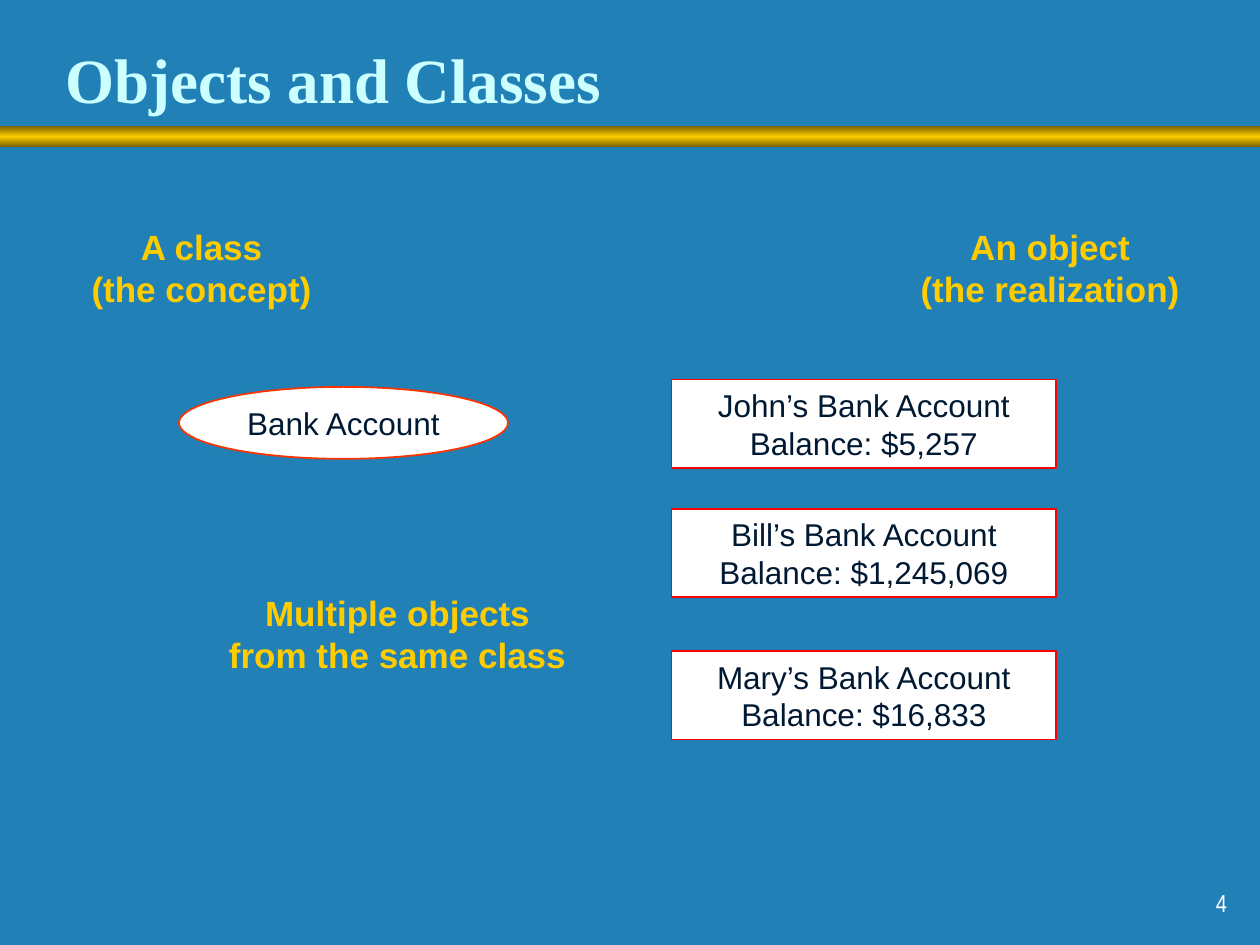
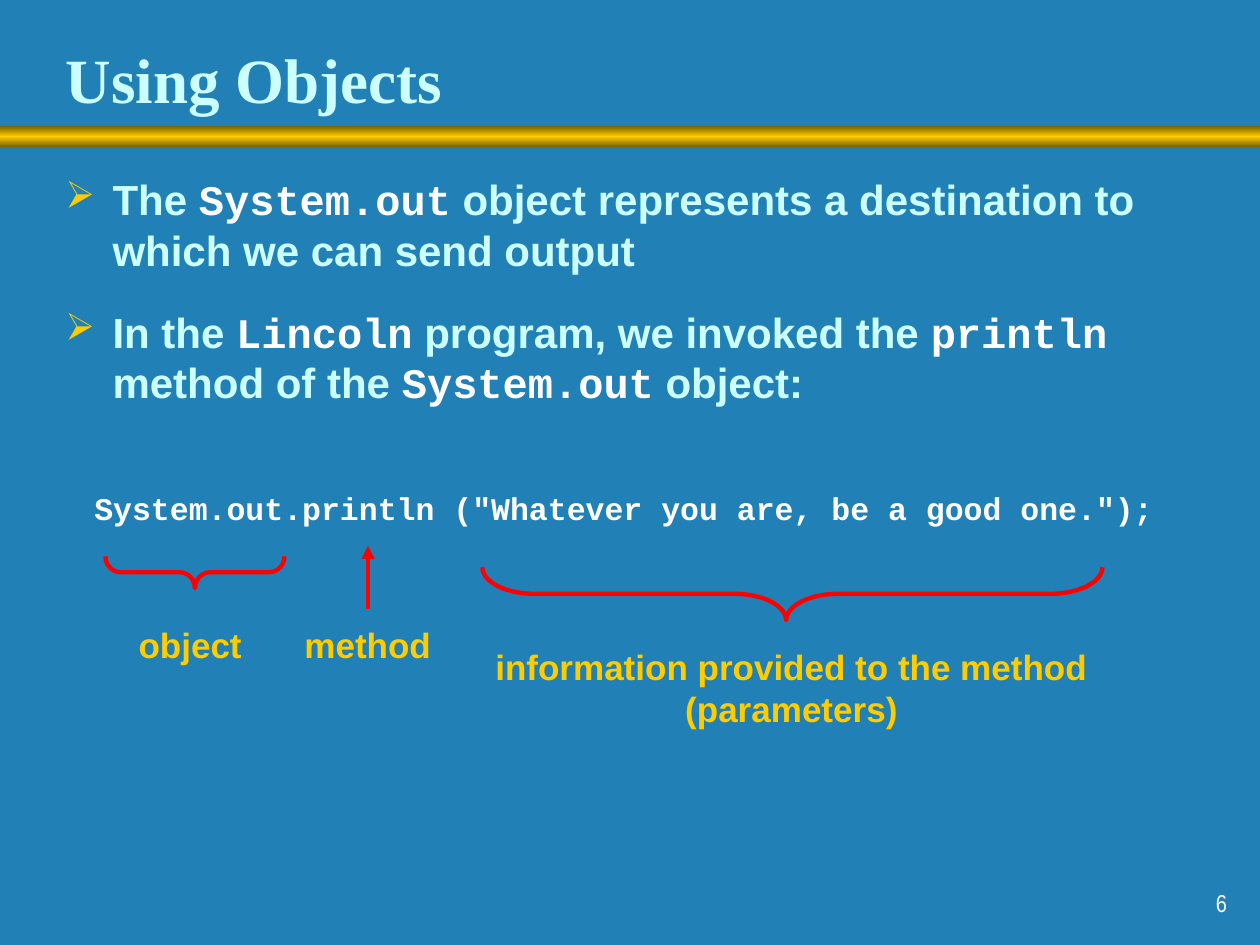
"""Build two slides on objects and classes."""
from copy import deepcopy
from dataclasses import dataclass

from lxml import etree
from pptx import Presentation
from pptx import util as u
from pptx.dml.color import RGBColor as Rgb
from pptx.enum import shapes, text
from pptx.oxml import ns

LEFT, MID, RIGHT = text.PP_ALIGN.LEFT, text.PP_ALIGN.CENTER, text.PP_ALIGN.RIGHT


def style(name, size, color, bold=True):
    """Return the font values and the colour of one kind of text."""
    return {"name": name, "size": u.Pt(size), "bold": bold}, color


@dataclass(frozen=True)
class Theme:
    """Hold the colours and type styles of the deck."""
    back: str = "2181B7"
    gold: str = "FFCC00"
    dark: str = "755E00"
    white: str = "FFFFFF"
    red: str = "FF0000"
    flame: str = "FF3300"
    title: tuple = style("Times New Roman", 36, "CCFFFF")
    body: tuple = style("Arial", 24, "CCFFFF")
    term: tuple = style("Courier New", 24, "FFFFFF")
    code: tuple = style("Courier New", 18, "FFFFFF")
    label: tuple = style("Arial", 20, "FFCC00")
    box: tuple = style("Arial", 18, "001932", False)
    page: tuple = style("Arial Narrow", 14, "FFFFFF", False)


T = Theme()


def apply(item, vals):
    """Set each named value on an item."""
    for name, val in vals.items():
        setattr(item, name, val)


def place(*nums):
    """Turn centimetre numbers into lengths."""
    return [u.Cm(n) for n in nums]


def node(parent, tag, **attrs):
    """Append a DrawingML element."""
    return etree.SubElement(parent, ns.qn(tag), **attrs)


def add_run(para, words, look):
    """Add a styled run to a paragraph."""
    run = para.add_run()
    run.text = words
    vals, color = look
    apply(run.font, vals)
    run.font.color.rgb = Rgb.from_string(color)


def fill_text(shape, lines, look, align=MID, anchor=text.MSO_ANCHOR.TOP, wrap=False):
    """Write styled lines into a shape, one paragraph each."""
    frame = shape.text_frame
    apply(frame, {"word_wrap": wrap, "vertical_anchor": anchor,
                  "auto_size": text.MSO_AUTO_SIZE.NONE})
    for i, line in enumerate(lines):
        para = frame.add_paragraph() if i else frame.paragraphs[0]
        para.alignment = align
        add_run(para, line, look)


def add_text(slide, at, lines, look, **opts):
    """Add a text box."""
    box = slide.shapes.add_textbox(*place(*at))
    fill_text(box, lines, look, **opts)
    return box


def add_plain(slide, kind, at):
    """Add a preset shape without a shadow."""
    shape = slide.shapes.add_shape(kind, *place(*at))
    shape.shadow.inherit = False
    return shape


def draw_line(line, color, width):
    """Set the colour and width of a line."""
    line.color.rgb = Rgb.from_string(color)
    line.width = u.Pt(width)


def add_box(slide, kind, at, lines, edge):
    """Add a white outlined shape with centred text."""
    box = add_plain(slide, kind, at)
    box.fill.solid()
    box.fill.fore_color.rgb = Rgb.from_string(T.white)
    draw_line(box.line, edge, 1)
    fill_text(box, lines, T.box, anchor=text.MSO_ANCHOR.MIDDLE, wrap=True)


def add_brace(slide, at, curve, point):
    """Add a red brace that points down."""
    brace = add_plain(slide, shapes.MSO_SHAPE.LEFT_BRACE, at)
    brace.rotation = 270
    brace.adjustments[0], brace.adjustments[1] = curve, point
    brace.fill.background()
    draw_line(brace.line, T.red, 2.5)


def add_arrow(slide, *ends):
    """Add a red arrow between two points."""
    arrow = slide.shapes.add_connector(shapes.MSO_CONNECTOR.STRAIGHT, *place(*ends))
    draw_line(arrow.line, T.red, 2.5)
    props = arrow.line._get_or_add_ln()
    node(props, "a:tailEnd", type="triangle")
    node(props.getparent(), "a:effectLst")


def add_band(slide):
    """Add the golden band below the title."""
    band = add_plain(slide, shapes.MSO_SHAPE.RECTANGLE, (0, 2.54, 25.4, 0.43))
    band.line.fill.background()
    band.fill.gradient()
    band.fill.gradient_angle = 90
    stops = band._element.spPr.find(".//" + ns.qn("a:gsLst"))
    stops.insert(1, deepcopy(stops[0]))
    for stop, pos, color in zip(band.fill.gradient_stops, (0, 0.5, 1),
                                (T.dark, T.gold, T.dark)):
        stop.position = pos
        stop.color.rgb = Rgb.from_string(color)


def add_slide(deck, title, page):
    """Add a slide with its title, band and page number."""
    slide = deck.slides.add_slide(deck.slide_layouts[5])
    slide.background.fill.solid()
    slide.background.fill.fore_color.rgb = Rgb.from_string(T.back)
    add_band(slide)
    head = slide.shapes.title
    apply(head, dict(zip(("left", "top", "width", "height"),
                         place(1.07, 0.56, 21.72, 1.9))))
    low = text.MSO_ANCHOR.BOTTOM
    fill_text(head, [title], T.title, align=LEFT, anchor=low, wrap=True)
    add_text(slide, (19.71, 17.35, 5.28, 1.27), [page], T.page,
             align=RIGHT, anchor=low, wrap=True)
    return slide


def add_points(slide, at, points):
    """Add bullets in which backticks mark the code terms."""
    frame = slide.shapes.add_textbox(*place(*at)).text_frame
    frame.word_wrap = True
    for i, point in enumerate(points):
        para = frame.add_paragraph() if i else frame.paragraphs[0]
        para.space_before = u.Pt(18)
        props = para._p.get_or_add_pPr()
        props.set("marL", str(u.Cm(0.95)))
        props.set("indent", str(u.Cm(-0.95)))
        node(node(props, "a:buClr"), "a:srgbClr", val=T.gold)
        node(props, "a:buSzPct", val="90000")
        node(props, "a:buChar", char="➢")
        for j, part in enumerate(point.split("`")):
            add_run(para, part, T.term if j % 2 else T.body)


def show_class(deck):
    """Build the slide on a class and its objects."""
    slide = add_slide(deck, "Objects and Classes", "4")
    for at, lines in (
        ((1.6, 4.42, 4.93, 1.96), ("A class", "(the concept)")),
        ((18.31, 4.43, 5.72, 1.96), ("An object", "(the realization)")),
        ((4.37, 11.79, 7.29, 1.96), ("Multiple objects", "from the same class")),
    ):
        add_text(slide, at, lines, T.label)
    add_box(slide, shapes.MSO_SHAPE.OVAL, (3.61, 7.8, 6.63, 1.45),
            ["Bank Account"], T.flame)
    for top, name, sum_ in ((7.65, "John", "5,257"), (10.26, "Bill", "1,245,069"),
                            (13.13, "Mary", "16,833")):
        add_box(slide, shapes.MSO_SHAPE.RECTANGLE, (13.54, top, 7.75, 1.78),
                [f"{name}’s Bank Account", f"Balance: ${sum_}"], T.red)


def show_use(deck):
    """Build the slide on calling a method of an object."""
    slide = add_slide(deck, "Using Objects", "6")
    add_points(slide, (1.07, 3.38, 23.06, 7), (
        "The `System.out` object represents a destination to which we can send output",
        "In the `Lincoln` program, we invoked the `println` method of the "
        "`System.out` object:",
    ))
    add_text(slide, (1.65, 9.73, 21.84, 1.02),
             ['System.out.println ("Whatever you are, be a good one.");'], T.code)
    for at, lines in (
        ((2.54, 12.45, 2.59, 1.12), ["object"]),
        ((5.89, 12.45, 3.05, 1.12), ["method"]),
        ((9.73, 12.88, 12.45, 1.96),
         ["information provided to the method", "(parameters)"]),
    ):
        add_text(slide, at, lines, T.label)
    add_brace(slide, (3.61, 9.73, 0.64, 3.61), 0.48, 0.5)
    add_brace(slide, (15.44, 5.72, 1.07, 12.5), 0.98, 0.49)
    add_arrow(slide, 7.42, 12.27, 7.42, 11)


def main():
    """Build and save the deck."""
    deck = Presentation()
    apply(deck, {"slide_width": u.Cm(25.4), "slide_height": u.Cm(19.05)})
    show_class(deck)
    show_use(deck)
    deck.save("out.pptx")


if __name__ == "__main__":
    main()
